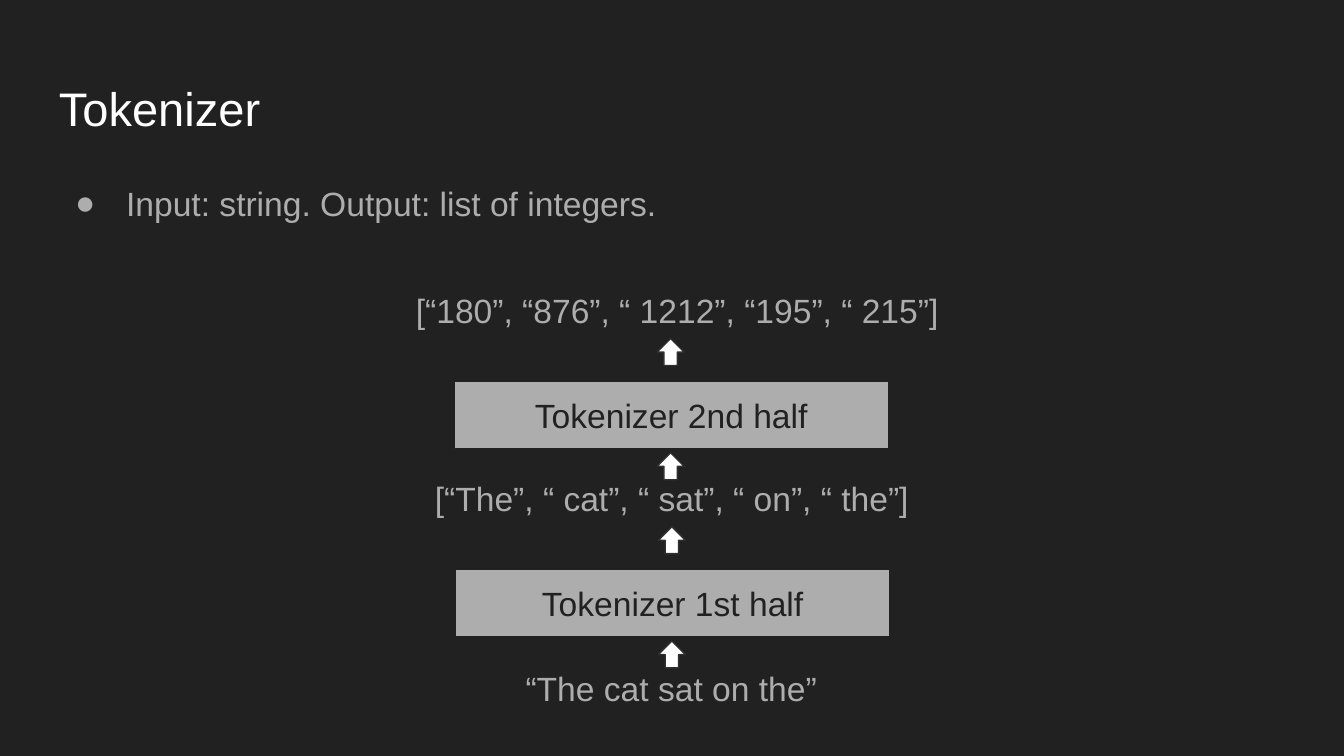
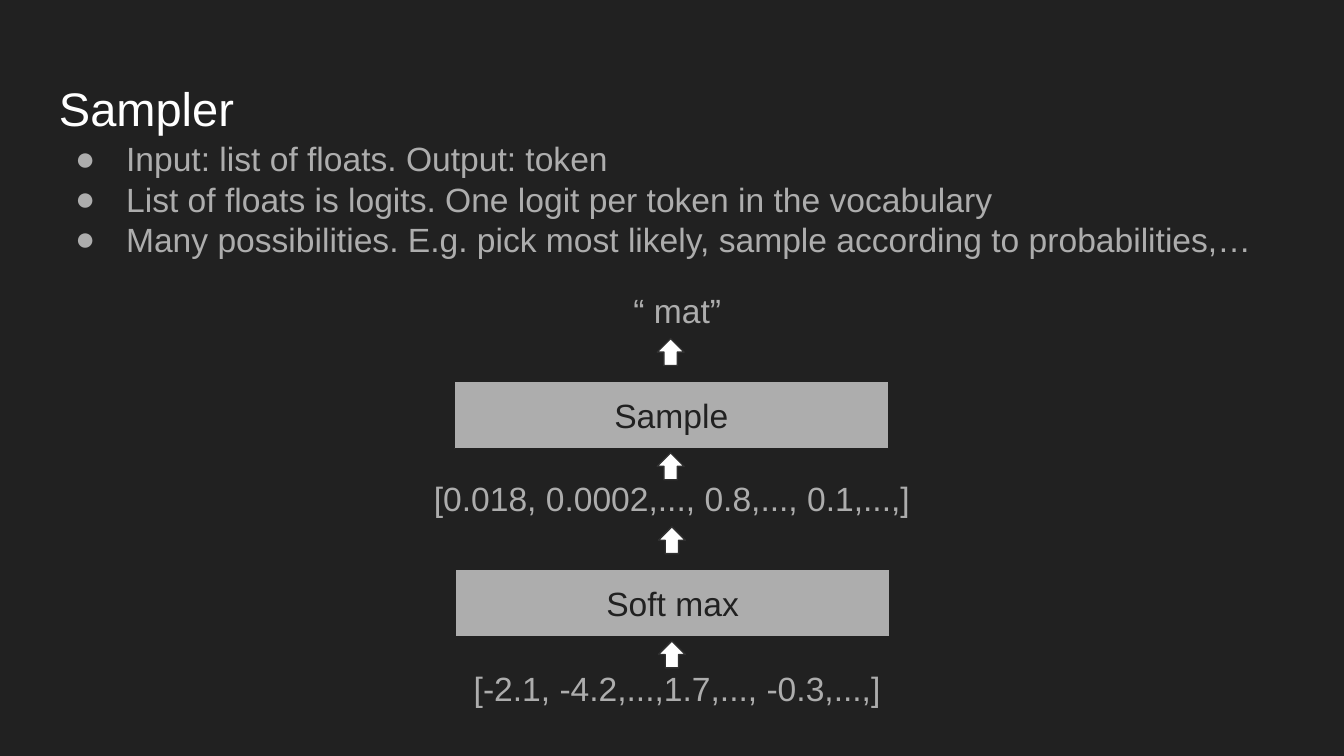
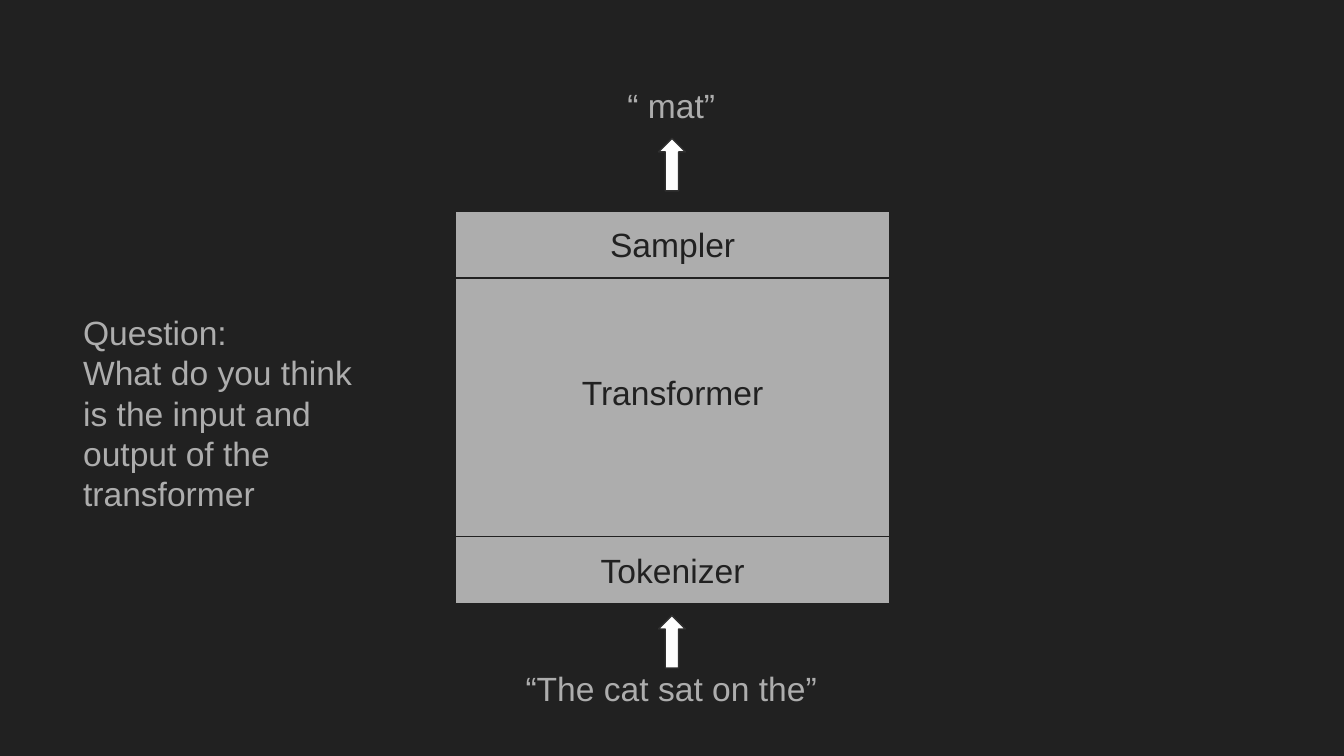
import pptx
import pptx.dml.color
import pptx.enum.shapes
import pptx.enum.text
import pptx.oxml.ns
import pptx.util
from lxml import etree

Inches = pptx.util.Inches
Pt = pptx.util.Pt
Shape = pptx.enum.shapes.MSO_SHAPE
Align = pptx.enum.text.PP_ALIGN
Anchor = pptx.enum.text.MSO_ANCHOR

# Shared look
FONT = "Arial"
DARK, GRAY, WHITE, EDGE = "212121", "ADADAD", "FFFFFF", "303030"
LEFT, WIDE = 0.34, 9.32
BLOCK_W, BLOCK_H, ARROW_W = 3.23, 0.5, 0.2
QUOTE = "“The cat sat on the”"


def color(code):
    return pptx.dml.color.RGBColor.from_string(code)


def bullet(para):
    props = para._p.get_or_add_pPr()
    props.set("marL", str(Inches(0.5)))
    props.set("indent", str(Inches(-0.38)))
    tint = etree.SubElement(props, pptx.oxml.ns.qn("a:buClr"))
    etree.SubElement(tint, pptx.oxml.ns.qn("a:srgbClr"), val=GRAY)
    etree.SubElement(props, pptx.oxml.ns.qn("a:buFont"), typeface=FONT)
    etree.SubElement(props, pptx.oxml.ns.qn("a:buChar"), char="●")


def write(shape, text, size=18, ink=GRAY, align=Align.CENTER,
          anchor=Anchor.TOP, top=0.1, dots=False):
    frame = shape.text_frame
    frame.word_wrap = True
    frame.vertical_anchor = anchor
    frame.margin_left = frame.margin_right = frame.margin_bottom = Inches(0.1)
    frame.margin_top = Inches(top)
    frame.text = text
    for para in frame.paragraphs:
        para.alignment = align
        para.line_spacing = 1.0
        if dots:
            bullet(para)
        for run in para.runs:
            run.font.name = FONT
            run.font.size = Pt(size)
            run.font.color.rgb = color(ink)


def label(slide, text, x, y, w, h=0.6, **style):
    box = slide.shapes.add_textbox(Inches(x), Inches(y), Inches(w), Inches(h))
    write(box, text, **style)


def solid(slide, kind, x, y, w, h, fill, line):
    shape = slide.shapes.add_shape(kind, Inches(x), Inches(y), Inches(w), Inches(h))
    shape.shadow.inherit = False
    shape.fill.solid()
    shape.fill.fore_color.rgb = color(fill)
    shape.line.color.rgb = color(line)
    shape.line.width = Pt(0.75)
    return shape


def block(slide, text, x, y, h=BLOCK_H, **style):
    shape = solid(slide, Shape.RECTANGLE, x, y, BLOCK_W, h, GRAY, DARK)
    write(shape, text, ink=DARK, **{"anchor": Anchor.MIDDLE, **style})


def arrow(slide, x, y, h=ARROW_W):
    solid(slide, Shape.UP_ARROW, x, y, ARROW_W, h, WHITE, EDGE)


def blank(deck):
    slide = deck.slides.add_slide(deck.slide_layouts[6])
    slide.background.fill.solid()
    slide.background.fill.fore_color.rgb = color(DARK)
    return slide


# One step of a flow: arrow in, block, arrow out, result on top
def stage(slide, name, result, x, y, text_x, text_w):
    arrow(slide, x + 1.51, y + 1.31)
    label(slide, result, text_x, y, text_w)
    block(slide, name, x, y + 0.78)
    arrow(slide, x + 1.51, y + 0.46)


# Title, bullets and a two-step flow, read upwards
def flow(deck, title, points, top, source, source_box, first, second):
    slide = blank(deck)
    label(slide, title, LEFT, 0.49, WIDE, 0.63, size=25.2, ink=WHITE, align=Align.LEFT)
    x, w = source_box
    label(slide, source, x, 4.87, w)
    label(slide, "\n".join(points), LEFT, top, WIDE, 0.8, align=Align.LEFT, dots=True)
    stage(slide, *first, 3.39, 3.46, 3.01, 3.98)
    stage(slide, *second, 3.38, 2.06, 2.84, 4.4)


# Stacked model with a question beside it
def model(deck):
    slide = blank(deck)
    x = 3.39
    for text, text_y, arrow_y in ((QUOTE, 4.87, 4.58), ("“ mat”", 0.53, 1.03)):
        arrow(slide, x + 1.51, arrow_y, 0.39)
        label(slide, text, x + 0.22, text_y, 2.77)
    block(slide, "Sampler", x, 1.57)
    block(slide, "Tokenizer", x, 3.99)
    block(slide, "Transformer", x, 2.07, h=1.92, anchor=Anchor.TOP, top=0.7)
    label(slide, "Question:\nWhat do you think is the input and output of the transformer",
          0.52, 2.22, 2.38, 1.41, align=Align.LEFT)


def main():
    deck = pptx.Presentation()
    # Widescreen, 16:9
    deck.slide_width = Inches(10)
    deck.slide_height = Inches(10) * 9 // 16
    flow(deck, "Tokenizer", ["Input: string. Output: list of integers."], 1.26,
         QUOTE, (3.61, 2.77),
         ("Tokenizer 1st half", "[“The”, “ cat”, “ sat”, “ on”, “ the”]"),
         ("Tokenizer 2nd half", "[“180”, “876”, “ 1212”, “195”, “ 215”]"))
    flow(deck, "Sampler",
         ["Input: list of floats. Output: token",
          "List of floats is logits. One logit per token in the vocabulary",
          "Many possibilities. E.g. pick most likely, sample according to probabilities,…"],
         0.93, "[-2.1, -4.2,...,1.7,..., -0.3,...,]", (1.81, 6.46),
         ("Soft max", "[0.018, 0.0002,..., 0.8,..., 0.1,...,]"),
         ("Sample", "“ mat”"))
    model(deck)
    deck.save("out.pptx")


if __name__ == "__main__":
    main()
